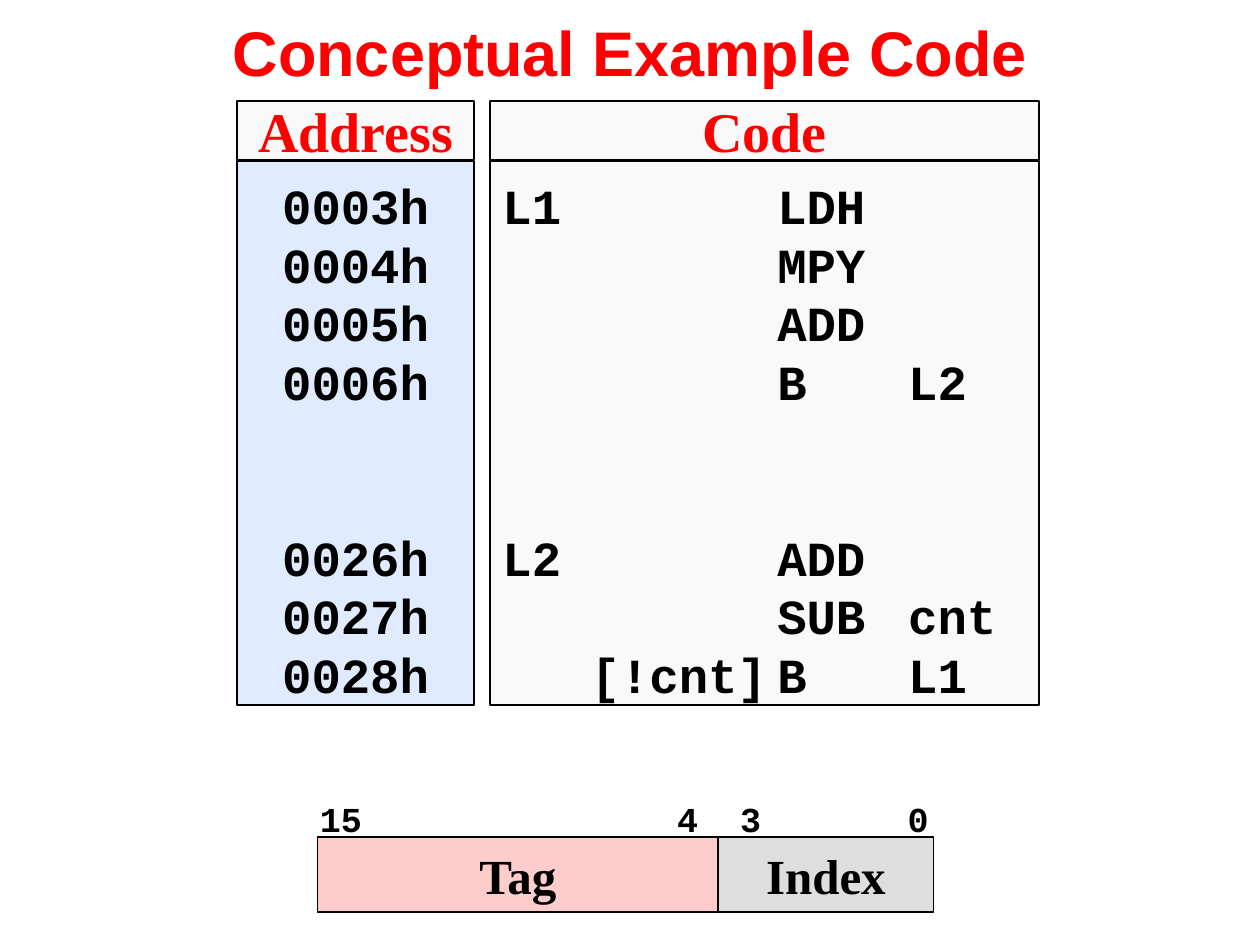
import pptx
import pptx.util
import pptx.dml.color
import pptx.enum.shapes
import pptx.enum.text
import pptx.oxml
import pptx.oxml.ns
from pptx.util import Cm, Pt

ALIGN = pptx.enum.text.PP_ALIGN
ANCHOR = pptx.enum.text.MSO_ANCHOR
COLORS = {"red": "FF0000", "black": "000000", "address": "E0EBFF",
          "plain": "F9F9F9", "tag": "FFCCCC", "index": "DEDEDE"}

# Content: blocks of (address, label, condition, operation, operand)
TITLE = "Conceptual Example Code"
BLOCKS = [
    [("0003h", "L1", "", "LDH", ""),
     ("0004h", "", "", "MPY", ""),
     ("0005h", "", "", "ADD", ""),
     ("0006h", "", "", "B", "L2")],
    [("0026h", "L2", "", "ADD", ""),
     ("0027h", "", "", "SUB", "cnt"),
     ("0028h", "", "[!cnt]", "B", "L1")],
]
FIELDS = [("Tag", "tag", 8.08), ("Index", "index", 4.34)]  # name, fill, width
BITS = ["15", "4", "3", "0"]

# Layout, in centimetres and points
ADDRESS_LEFT, ADDRESS_WIDTH = 4.78, 4.78
CODE_LEFT, CODE_WIDTH = 9.88, 11.07
HEADER_TOP, HEADER_HEIGHT = 2.03, 1.2
BODY_TOP, BODY_HEIGHT = 3.25, 10.97
FIELD_LEFT, FIELD_TOP, FIELD_HEIGHT = 6.4, 16.87, 1.52
CODE_TABS = [1.78, 5.54, 8.18]
BIT_TABS = [7.2, 8.47, 11.85]
ROW_PITCH, GAP_ROWS = 33.5, 2

deck = pptx.Presentation()
deck.slide_width, deck.slide_height = Cm(25.4), Cm(19.05)
page = deck.slides.add_slide(deck.slide_layouts[6])


def rgb(name):
    return pptx.dml.color.RGBColor.from_string(COLORS[name])


def add_box(left, top, width, height, fill=None):
    """Add a filled, outlined rectangle, or a plain text box without a fill."""
    place = Cm(left), Cm(top), Cm(width), Cm(height)
    if fill is None:
        return page.shapes.add_textbox(*place)
    box = page.shapes.add_shape(pptx.enum.shapes.MSO_SHAPE.RECTANGLE, *place)
    box.shadow.inherit = False
    box.fill.solid()
    box.fill.fore_color.rgb = rgb(fill)
    box.line.color.rgb = rgb("black")
    box.line.width = Pt(1)
    return box


def set_tabs(para, stops):
    tab_list = pptx.oxml.parse_xml(
        f'<a:tabLst {pptx.oxml.ns.nsdecls("a")}>'
        + "".join(f'<a:tab pos="{Cm(stop)}" algn="l"/>' for stop in stops)
        + "</a:tabLst>")
    para._p.get_or_add_pPr().append(tab_list)


def write(box, lines, font, size, color="black", align=ALIGN.CENTER,
          anchor=ANCHOR.MIDDLE, tabs=()):
    frame = box.text_frame
    frame.word_wrap = True
    frame.vertical_anchor = anchor
    frame.text = "\n".join(lines)
    for para in frame.paragraphs:
        para.alignment = align
        if tabs:
            set_tabs(para, tabs)
        for span in para.runs:
            span.font.name = font
            span.font.size = Pt(size)
            span.font.bold = True
            span.font.color.rgb = rgb(color)


def write_listing(box, lines, **options):
    """Write one line per row, with a gap between the blocks."""
    write(box, lines, "Courier New", 28, anchor=ANCHOR.TOP, **options)
    box.text_frame.margin_top = Cm(0.29)
    paras = box.text_frame.paragraphs
    for para in paras:
        para.line_spacing = Pt(ROW_PITCH)
    paras[len(BLOCKS[0])].space_before = Pt(ROW_PITCH * GAP_ROWS)


# Title
write(add_box(0, 0, 25.4, 2.06), [TITLE], "Arial", 36, "red")

# Address and code listings
rows = [row for block in BLOCKS for row in block]
address_box = add_box(ADDRESS_LEFT, BODY_TOP, ADDRESS_WIDTH, BODY_HEIGHT, "address")
write_listing(address_box, [row[0] for row in rows])
code_box = add_box(CODE_LEFT, BODY_TOP, CODE_WIDTH, BODY_HEIGHT, "plain")
write_listing(code_box, ["\t".join(row[1:]).rstrip() for row in rows],
              align=ALIGN.LEFT, tabs=CODE_TABS)

# Column headers
for name, left, width in [("Code", CODE_LEFT, CODE_WIDTH),
                          ("Address", ADDRESS_LEFT, ADDRESS_WIDTH)]:
    header = add_box(left, HEADER_TOP, width, HEADER_HEIGHT, "plain")
    write(header, [name], "Times New Roman", 32, "red")

# Address fields, side by side
left = FIELD_LEFT
for name, fill, width in FIELDS:
    field = add_box(left, FIELD_TOP, width, FIELD_HEIGHT, fill)
    write(field, [name], "Times New Roman", 28)
    left += width

# Bit numbers above the fields
write(add_box(6.2, 15.95, 12.9, 1.12), ["\t".join(BITS)], "Courier New", 20,
      align=ALIGN.LEFT, anchor=ANCHOR.TOP, tabs=BIT_TABS)

deck.save("out.pptx")
